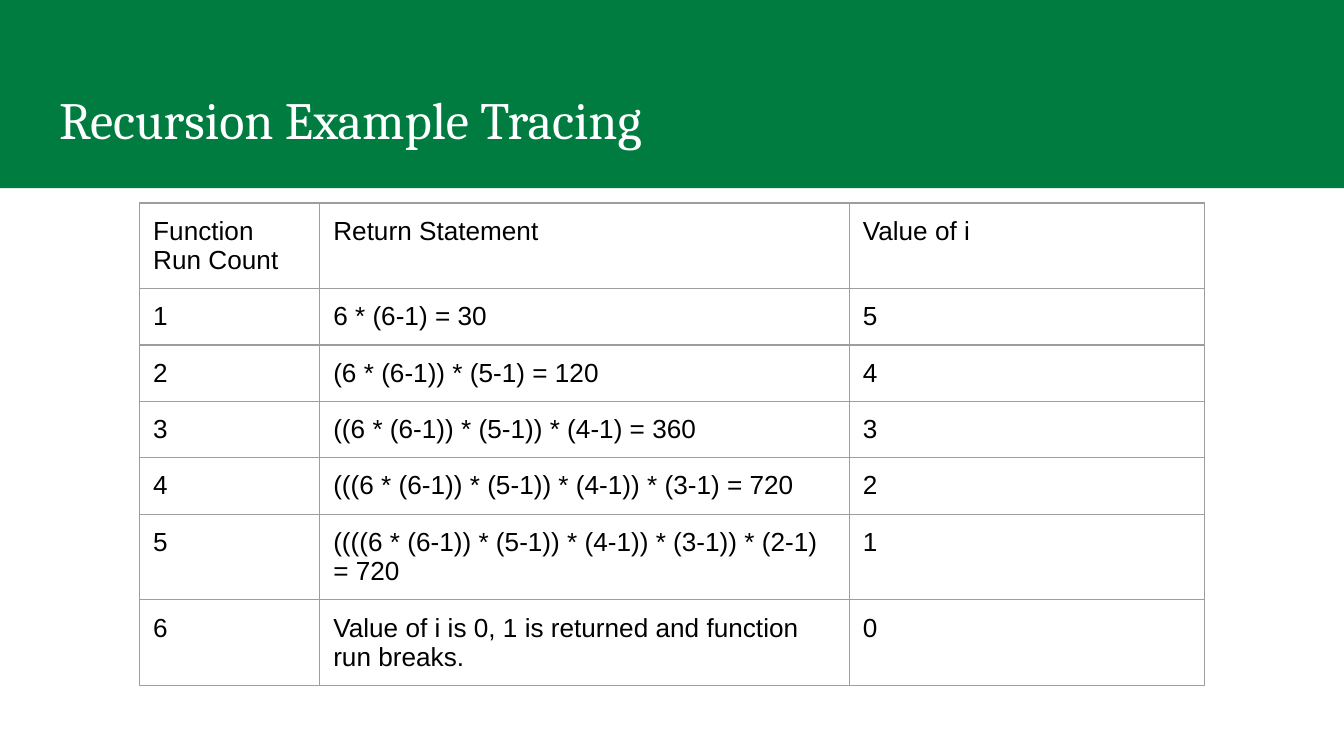
from lxml.etree import SubElement
from pptx import Presentation
from pptx.dml.color import RGBColor as RGB
from pptx.enum.shapes import MSO_SHAPE as Shape
from pptx.enum.text import MSO_ANCHOR as Anchor, PP_ALIGN as Align
from pptx.oxml.ns import qn
from pptx.util import Inches, Pt

HEADING = "Recursion Example Tracing"
TRACE = [
    ("Function Run Count", "Return Statement", "Value of i"),
    ("1", "6 * (6-1) = 30", "5"),
    ("2", "(6 * (6-1)) * (5-1) = 120", "4"),
    ("3", "((6 * (6-1)) * (5-1)) * (4-1) = 360", "3"),
    ("4", "(((6 * (6-1)) * (5-1)) * (4-1)) * (3-1) = 720", "2"),
    ("5", "((((6 * (6-1)) * (5-1)) * (4-1)) * (3-1)) * (2-1) = 720", "1"),
    ("6", "Value of i is 0, 1 is returned and function run breaks.", "0"),
]
SLIDE_WIDTH = 10
SLIDE_HEIGHT = SLIDE_WIDTH * 9 / 16
COLUMN_WIDTHS = (1.34, 3.94, 2.64)
ROW_HEIGHT = 0.42

THEME = {
    "band": "007C41", "heading": "FFFFFF", "text": "000000", "border": "9E9E9E",
    "heading_font": "Cambria", "text_font": "Arial",
    "heading_size": 28, "text_size": 14, "border_width": 0.75, "inset": 0.1,
}


def set_insets(target):
    inset = Inches(THEME["inset"])
    target.margin_left = target.margin_right = inset
    target.margin_top = target.margin_bottom = inset


def format_text(frame, role):
    for paragraph in frame.paragraphs:
        paragraph.alignment = Align.LEFT
        for run in paragraph.runs:
            run.font.name = THEME[f"{role}_font"]
            run.font.size = Pt(THEME[f"{role}_size"])
            run.font.bold = False
            run.font.color.rgb = RGB.from_string(THEME[role])


def add_borders(cell):
    properties = cell._tc.get_or_add_tcPr()
    for position, side in enumerate(("lnL", "lnR", "lnT", "lnB")):
        line = SubElement(properties, qn(f"a:{side}"), w=str(Pt(THEME["border_width"])))
        fill = SubElement(line, qn("a:solidFill"))
        SubElement(fill, qn("a:srgbClr"), val=THEME["border"])
        properties.insert(position, line)


def add_heading(slide):
    title = slide.shapes.title
    title.left, title.top = Inches(0.34), Inches(0.55)
    title.width, title.height = Inches(9.32), Inches(0.68)
    frame = title.text_frame
    frame.text = HEADING
    frame.word_wrap = True
    frame.vertical_anchor = Anchor.TOP
    set_insets(frame)
    format_text(frame, "heading")

    band = slide.shapes.add_shape(
        Shape.RECTANGLE, 0, 0, Inches(SLIDE_WIDTH), Inches(1.4)
    )
    band.shadow.inherit = False
    band.fill.solid()
    band.fill.fore_color.rgb = RGB.from_string(THEME["band"])
    band.line.fill.background()
    title.element.addprevious(band.element)


def add_trace(slide):
    trace = slide.shapes.add_table(
        len(TRACE), len(COLUMN_WIDTHS), Inches(1.04), Inches(1.51),
        Inches(sum(COLUMN_WIDTHS)), Inches(ROW_HEIGHT * len(TRACE)),
    ).table
    trace.first_row = trace.horz_banding = False
    for column, width in zip(trace.columns, COLUMN_WIDTHS):
        column.width = Inches(width)
    for row, entries in zip(trace.rows, TRACE):
        row.height = Inches(ROW_HEIGHT)
        for cell, entry in zip(row.cells, entries):
            cell.text_frame.text = entry
            cell.vertical_anchor = Anchor.TOP
            set_insets(cell)
            cell.fill.background()
            add_borders(cell)
            format_text(cell.text_frame, "text")


def main():
    deck = Presentation()
    deck.slide_width, deck.slide_height = Inches(SLIDE_WIDTH), Inches(SLIDE_HEIGHT)
    slide = deck.slides.add_slide(deck.slide_layouts[5])
    add_heading(slide)
    add_trace(slide)
    deck.save("out.pptx")


if __name__ == "__main__":
    main()
